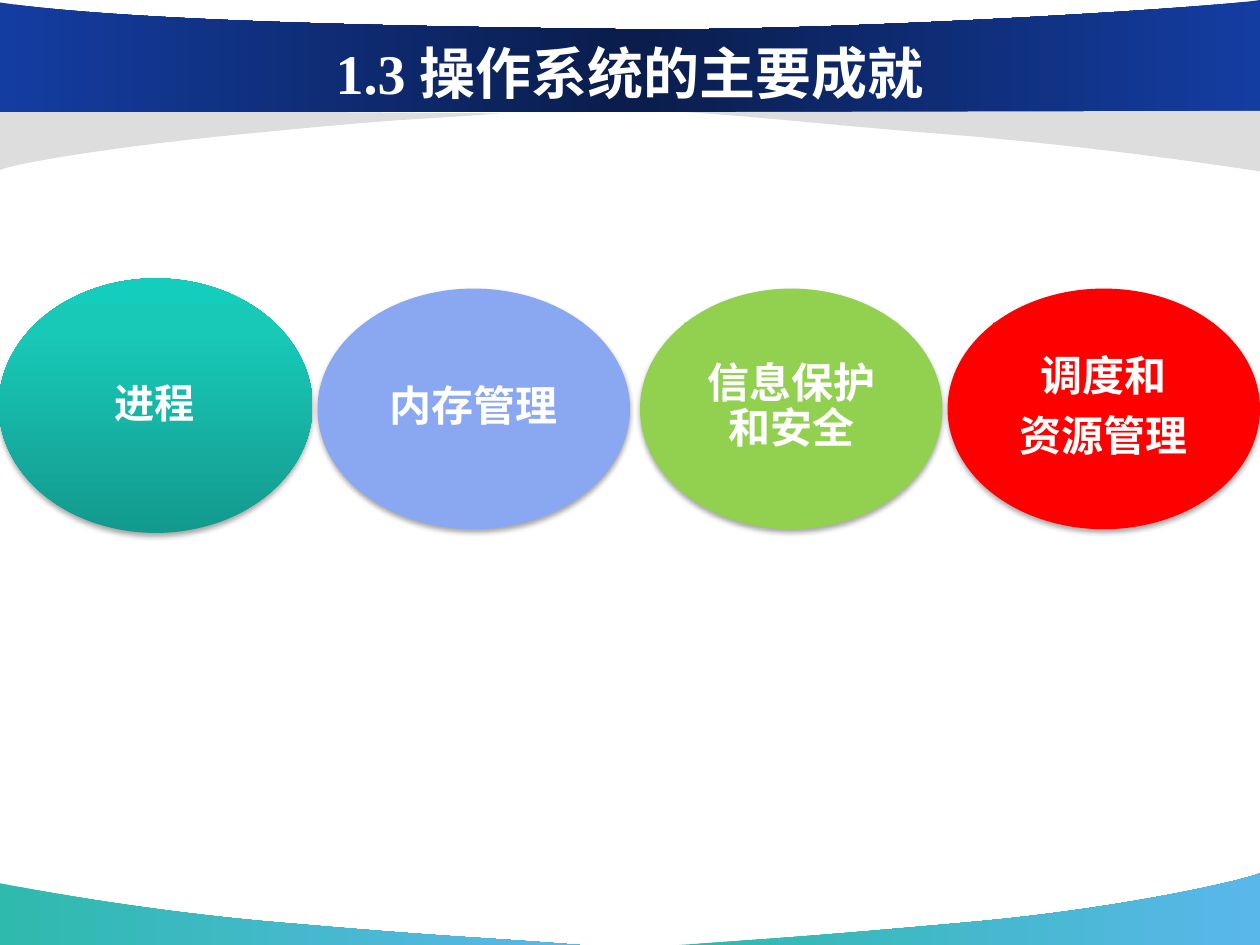
from lxml.etree import SubElement
from pptx import Presentation
from pptx.dml.color import RGBColor
from pptx.enum.shapes import MSO_SHAPE
from pptx.enum.text import MSO_ANCHOR, PP_ALIGN
from pptx.oxml.ns import qn
from pptx.util import Inches, Pt

COLORS = {
    "white": "FFFFFF",
    "black": "000000",
    "blue": "143DA2",
    "navy": "0A1D4C",
    "gray": "DDDDDD",
    "sea": "2EBAAD",
    "sky": "5AB7EA",
    "teal_dark": "139A8E",
    "teal": "18C9B8",
    "teal_light": "15CDBC",
    "periwinkle": "8AA8F1",
    "green": "92D050",
    "red": "FF0000",
}
FOOTER_FILL = [(0, "sea"), (100, "sky")]
BANNER_FILL = [(0, "blue"), (50, "navy"), (100, "blue")]
PROCESS_FILL = [(0, "teal_dark"), (80, "teal"), (100, "teal_light")]

WAVES = [
    (FOOTER_FILL, [(4.6, 7.5), (3.84, 7.44, 3.58, 7.44, 2.32, 7.33),
                   (1.06, 7.23, 0.01, 7.01, 0, 7.01), (0, 7.5)]),
    (FOOTER_FILL, [(5.39, 7.5), (6.14, 7.45, 6.46, 7.43, 7.69, 7.32),
                   (8.92, 7.21, 9.9, 6.98, 10, 6.93), (10, 7.5)]),
    ("gray", [(3.98, 0.9), (3.31, 0.95, 3.18, 0.94, 2.08, 1.05),
              (0.97, 1.15, 0.09, 1.3, 0, 1.35), (0, 0.87)]),
    (BANNER_FILL, [(0, 0.89), (10, 0.89), (10, 0), (9.64, 0.06, 6.53, 0.26, 4.87, 0.23),
                   (3.21, 0.21, 1.01, 0.17, 0, 0.02)]),
    ("gray", [(5.44, 0.89), (6.2, 0.94, 6.42, 0.98, 7.68, 1.08),
              (8.94, 1.19, 9.99, 1.36, 10, 1.36), (10, 0.88)]),
]

TOPICS = [
    ("进程", 23, PROCESS_FILL, None, (-0.01, 2.21, 2.49, 2.02), (0.35, 2.5, 1.76, 1.43)),
    ("内存管理", 24, "periwinkle", None, (2.52, 2.29, 2.48, 1.91), (2.88, 2.56, 1.75, 1.35)),
    ("信息保护和安全", 24, "green", "green", (5.08, 2.29, 2.4, 1.91), (5.43, 2.56, 1.7, 1.35)),
    ("调度和\n资源管理", 24, "red", "red", (7.52, 2.29, 2.48, 1.91), (7.88, 2.56, 1.75, 1.35)),
]


def color(name):
    return RGBColor.from_string(COLORS[name])


def paint(shape, fill, angle=0):
    if isinstance(fill, str):
        shape.fill.solid()
        shape.fill.fore_color.rgb = color(fill)
        return
    shape.fill.gradient()
    shape.fill.gradient_angle = angle
    stops = shape.element.spPr.find(qn("a:gradFill")).find(qn("a:gsLst"))
    for stop in list(stops):
        stops.remove(stop)
    for position, name in fill:
        stop = SubElement(stops, qn("a:gs"), pos=str(position * 1000))
        SubElement(stop, qn("a:srgbClr"), val=COLORS[name])


def bend_segments(wave, outline):
    segments = iter(list(wave.element.iter(qn("a:lnTo"))))
    for part in outline[1:]:
        segment = next(segments)
        if len(part) == 6:
            curve = segment.makeelement(qn("a:cubicBezTo"))
            segment.addprevious(curve)
            for control in (segment, next(segments), next(segments)):
                curve.append(control[0])
                control.getparent().remove(control)


def add_wave(page, fill, outline):
    points = [tuple(map(Inches, part[i:i + 2]))
              for part in outline for i in range(0, len(part), 2)]
    builder = page.shapes.build_freeform(*points[0], scale=1.0)
    builder.add_line_segments(points[1:], close=True)
    wave = builder.convert_to_shape()
    bend_segments(wave, outline)
    wave.shadow.inherit = False
    wave.line.fill.background()
    paint(wave, fill)


def add_soft_shadow(shape):
    shape.shadow.inherit = False
    effects = shape.element.spPr.find(qn("a:effectLst"))
    shadow = SubElement(effects, qn("a:outerShdw"), blurRad=str(Pt(3.1)), dist=str(Pt(1.8)),
                        dir="5400000", rotWithShape="0")
    tone = SubElement(shadow, qn("a:srgbClr"), val=COLORS["black"])
    SubElement(tone, qn("a:alpha"), val="35000")


def add_text(shapes, text, area, font, size, margin=None):
    box = shapes.add_textbox(*map(Inches, area))
    frame = box.text_frame
    frame.word_wrap = True
    frame.vertical_anchor = MSO_ANCHOR.MIDDLE
    if margin is not None:
        frame.margin_left = frame.margin_right = Inches(margin)
        frame.margin_top = frame.margin_bottom = Inches(margin)
    frame.text = text
    for para in frame.paragraphs:
        para.alignment = PP_ALIGN.CENTER
        for span in para.runs:
            span.font.name = font
            span.font.size = Pt(size)
            span.font.bold = True
            span.font.color.rgb = color("white")
    return box


def add_topic(page, text, size, fill, label_fill, oval_area, label_area):
    group = page.shapes.add_group_shape()
    oval = group.shapes.add_shape(MSO_SHAPE.OVAL, *map(Inches, oval_area))
    oval.line.fill.background()
    paint(oval, fill, angle=90)
    add_soft_shadow(oval)
    label = add_text(group.shapes, text, label_area, "Arial", size, margin=0.03)
    if label_fill:
        paint(label, label_fill)
    for para in label.text_frame.paragraphs:
        para.line_spacing = 0.9
        para.space_after = Pt(size * 0.35)


def main():
    deck = Presentation()
    deck.slide_width, deck.slide_height = Inches(10), Inches(7.5)
    page = deck.slides.add_slide(deck.slide_layouts[6])
    page.background.fill.solid()
    page.background.fill.fore_color.rgb = color("white")
    for fill, outline in WAVES:
        add_wave(page, fill, outline)
    add_text(page.shapes, "1.3 操作系统的主要成就", (0.5, 0.06, 9, 1.02), "Times New Roman", 32)
    for topic in TOPICS:
        add_topic(page, *topic)
    deck.save("out.pptx")


if __name__ == "__main__":
    main()
